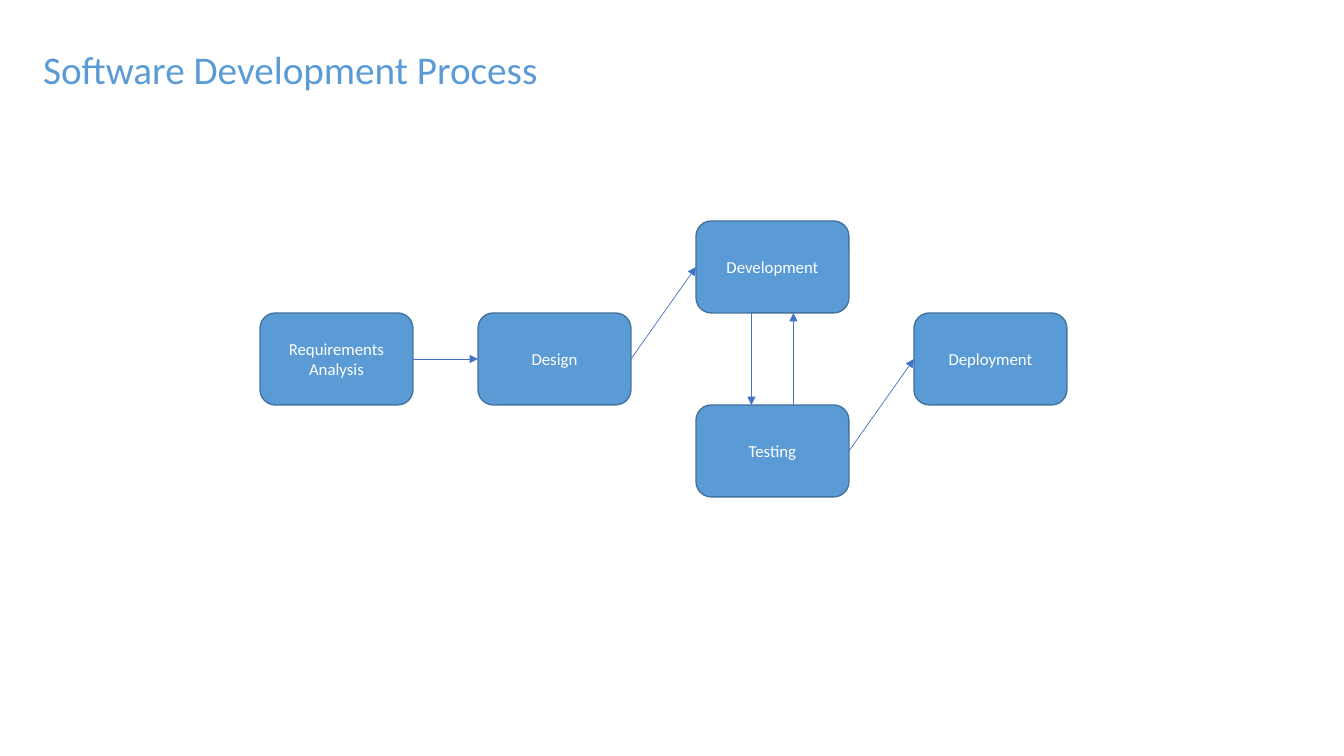
from lxml.etree import SubElement
from pptx import Presentation
from pptx.dml.color import RGBColor
from pptx.enum.shapes import MSO_CONNECTOR as CONNECTOR, MSO_SHAPE as SHAPE
from pptx.enum.text import MSO_ANCHOR as ANCHOR, PP_ALIGN as ALIGN
from pptx.oxml.ns import qn
from pptx.util import Emu, Pt

TITLE = "Software Development Process"
STAGES = {
    "Requirements Analysis": (0, 1),
    "Design": (1, 1),
    "Development": (2, 0),
    "Testing": (2, 2),
    "Deployment": (3, 1),
}
FORWARD_LINKS = [
    ("Requirements Analysis", "Design"),
    ("Design", "Development"),
    ("Testing", "Deployment"),
]
LOOP = ("Development", "Testing")
COLORS = {"blue": "5B9BD5", "border": "43739E", "arrow": "4472C4", "white": "FFFFFF"}
FONT = "Calibri"

SLIDE_WIDTH, SLIDE_HEIGHT = 1344, 756
LEFT, TOP = 260, 221
BOX_WIDTH, BOX_HEIGHT = 153, 92
COLUMN_STEP, ROW_STEP = 218, 92
LOOP_OFFSET = 21


def px(pixels):
    return Emu(round(pixels * 914400 / 100.8))


def color(name):
    return RGBColor.from_string(COLORS[name])


def write(frame, text, size, color_name, align):
    frame.word_wrap = True
    paragraph = frame.paragraphs[0]
    paragraph.alignment = align
    run = paragraph.add_run()
    run.text = text
    run.font.name = FONT
    run.font.size = Pt(size)
    run.font.color.rgb = color(color_name)


def corner(stage):
    column, row = STAGES[stage]
    return LEFT + column * COLUMN_STEP, TOP + row * ROW_STEP


def add_stage(slide, stage):
    left, top = corner(stage)
    shape = slide.shapes.add_shape(
        SHAPE.ROUNDED_RECTANGLE, px(left), px(top), px(BOX_WIDTH), px(BOX_HEIGHT))
    shape.shadow.inherit = False
    shape.fill.solid()
    shape.fill.fore_color.rgb = color("blue")
    shape.line.color.rgb = color("border")
    shape.line.width = Pt(1)
    shape.text_frame.vertical_anchor = ANCHOR.MIDDLE
    write(shape.text_frame, stage, 12, "white", ALIGN.CENTER)


def add_arrow(slide, start, end):
    arrow = slide.shapes.add_connector(
        CONNECTOR.STRAIGHT, *(px(value) for value in (*start, *end)))
    arrow.line.color.rgb = color("arrow")
    arrow.line.width = Pt(0.5)
    SubElement(arrow.line._get_or_add_ln(), qn("a:tailEnd"), type="triangle")
    SubElement(arrow._element.spPr, qn("a:effectLst"))


presentation = Presentation()
presentation.slide_width = px(SLIDE_WIDTH)
presentation.slide_height = px(SLIDE_HEIGHT)
slide = presentation.slides.add_slide(presentation.slide_layouts[5])

title = slide.shapes.title
title.left, title.top, title.width, title.height = (px(value) for value in (33, 40, 531, 57))
title.text_frame.vertical_anchor = ANCHOR.TOP
write(title.text_frame, TITLE, 28, "blue", ALIGN.LEFT)

for stage in STAGES:
    add_stage(slide, stage)

for source, target in FORWARD_LINKS:
    source_left, source_top = corner(source)
    target_left, target_top = corner(target)
    add_arrow(slide, (source_left + BOX_WIDTH, source_top + BOX_HEIGHT / 2),
              (target_left, target_top + BOX_HEIGHT / 2))

upper, lower = LOOP
loop_left, upper_top = corner(upper)
loop_center = loop_left + BOX_WIDTH / 2
upper_bottom, lower_top = upper_top + BOX_HEIGHT, corner(lower)[1]
down_x, up_x = loop_center - LOOP_OFFSET, loop_center + LOOP_OFFSET
add_arrow(slide, (down_x, upper_bottom), (down_x, lower_top))
add_arrow(slide, (up_x, lower_top), (up_x, upper_bottom))

presentation.save("out.pptx")
